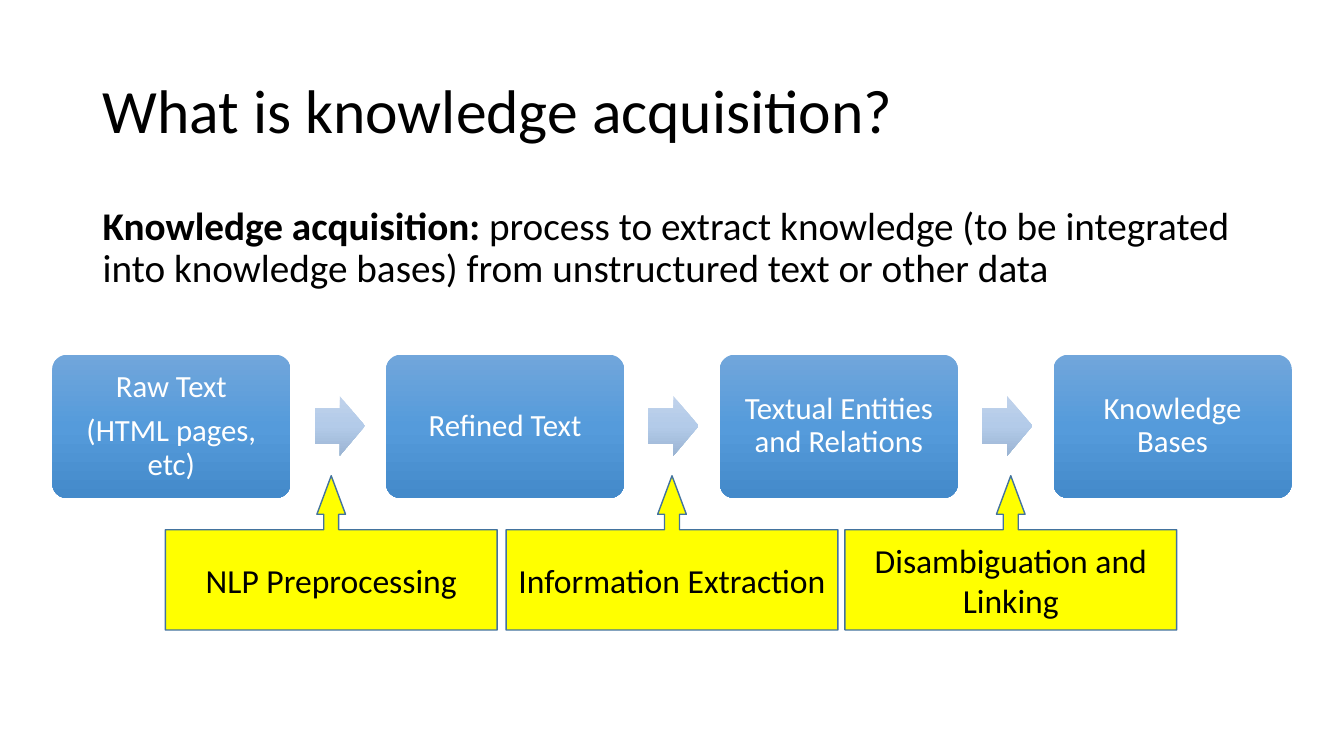
"""Build the knowledge acquisition slide: a four-stage flow with step callouts."""
from copy import deepcopy

from pptx import Presentation
from pptx.dml.color import RGBColor
from pptx.enum import shapes, text
from pptx.oxml.ns import qn

PX = 9144
THEME = {
    "font": "Calibri", "ink": "000000", "pale": "FFFFFF",
    "box": ("71A6DB", "559BDB", "448ACA"),
    "arrow": ("C0D2EB", "B3CBE9", "9BB4D3"),
    "call": "FFFF00", "edge": "43739E",
    "title": 44, "body": 28, "stage": 22, "step": 24,
}
KIND = shapes.MSO_SHAPE
MID = text.MSO_ANCHOR.MIDDLE
CENTER = text.PP_ALIGN.CENTER


def write(shape, lines, size, ink="ink", anchor=MID, align=CENTER, space=0.9, inset=(10, 5)):
    """Fill a shape with paragraphs, each a list of (words, bold) runs."""
    frame = shape.text_frame
    side, top = (n * PX for n in inset)
    form = {"word_wrap": True, "vertical_anchor": anchor, "margin_left": side,
            "margin_right": side, "margin_top": top, "margin_bottom": top}
    for key, val in form.items():
        setattr(frame, key, val)
    for i, line in enumerate(lines):
        para = frame.add_paragraph() if i else frame.paragraphs[0]
        para.alignment, para.line_spacing = align, space
        if i:
            para.space_before = 8 * 12700
        for words, bold in line:
            run = para.add_run()
            run.text = words
            look = {"name": THEME["font"], "size": THEME[size] * 12700, "bold": bold}
            for key, val in look.items():
                setattr(run.font, key, val)
            run.font.color.rgb = RGBColor.from_string(THEME[ink])


def draw(kind, area, adjust, fill):
    """Add a preset shape with a plain fill or a three-stop downward gradient."""
    shape = slide.shapes.add_shape(kind, *(n * PX for n in area))
    shape.shadow.inherit = False
    for i, val in enumerate(adjust):
        shape.adjustments[i] = val
    if isinstance(fill, str):
        shape.fill.solid()
        shape.fill.fore_color.rgb = RGBColor.from_string(fill)
        return shape
    shape.line.fill.background()
    shape.fill.gradient()
    shape.fill.gradient_angle = 270
    stops = shape._element.spPr.find(qn("a:gradFill")).find(qn("a:gsLst"))
    stops.insert(1, deepcopy(stops[0]))
    for i, stop in enumerate(shape.fill.gradient_stops):
        stop.position = i / 2
        stop.color.rgb = RGBColor.from_string(fill[i])
    return shape


deck = Presentation()
deck.slide_width, deck.slide_height = 1333 * PX, 750 * PX
slide = deck.slides.add_slide(deck.slide_layouts[6])

heads = [
    ("title", (92, 40, 1150, 145), MID, [("What is knowledge acquisition?", False)]),
    ("body", (92, 200, 1150, 476), text.MSO_ANCHOR.TOP, [
        ("Knowledge acquisition: ", True),
        ("process to extract knowledge (to be integrated into knowledge bases) "
         "from unstructured text or other data", False)]),
]
for size, area, anchor, line in heads:
    box = slide.shapes.add_textbox(*(n * PX for n in area))
    write(box, [line], size, anchor=anchor, align=text.PP_ALIGN.LEFT)

stages = [("Raw Text", "(HTML pages, etc)"), ("Refined Text",),
          ("Textual Entities and Relations",), ("Knowledge Bases",)]
for i, stage in enumerate(stages):
    left = 52 + 331 * i
    box = draw(KIND.ROUNDED_RECTANGLE, (left, 352, 236, 142), [0.1], THEME["box"])
    write(box, [[(words, False)] for words in stage], "stage", "pale", inset=(9, 9))
    if i < len(stages) - 1:
        draw(KIND.RIGHT_ARROW, (left + 260, 393, 50, 59), [0.6, 0.5], THEME["arrow"])

steps = [(838, "Disambiguation and Linking"), (502, "Information Extraction"),
         (164, "NLP Preprocessing")]
for left, words in steps:
    call = draw(KIND.UP_ARROW_CALLOUT, (left, 472, 329, 153),
                [0.097, 0.093, 0.25, 0.65], THEME["call"])
    call.line.color.rgb = RGBColor.from_string(THEME["edge"])
    call.line.width = 12700
    write(call, [[(words, False)]], "step", space=1.0)

deck.save("out.pptx")
